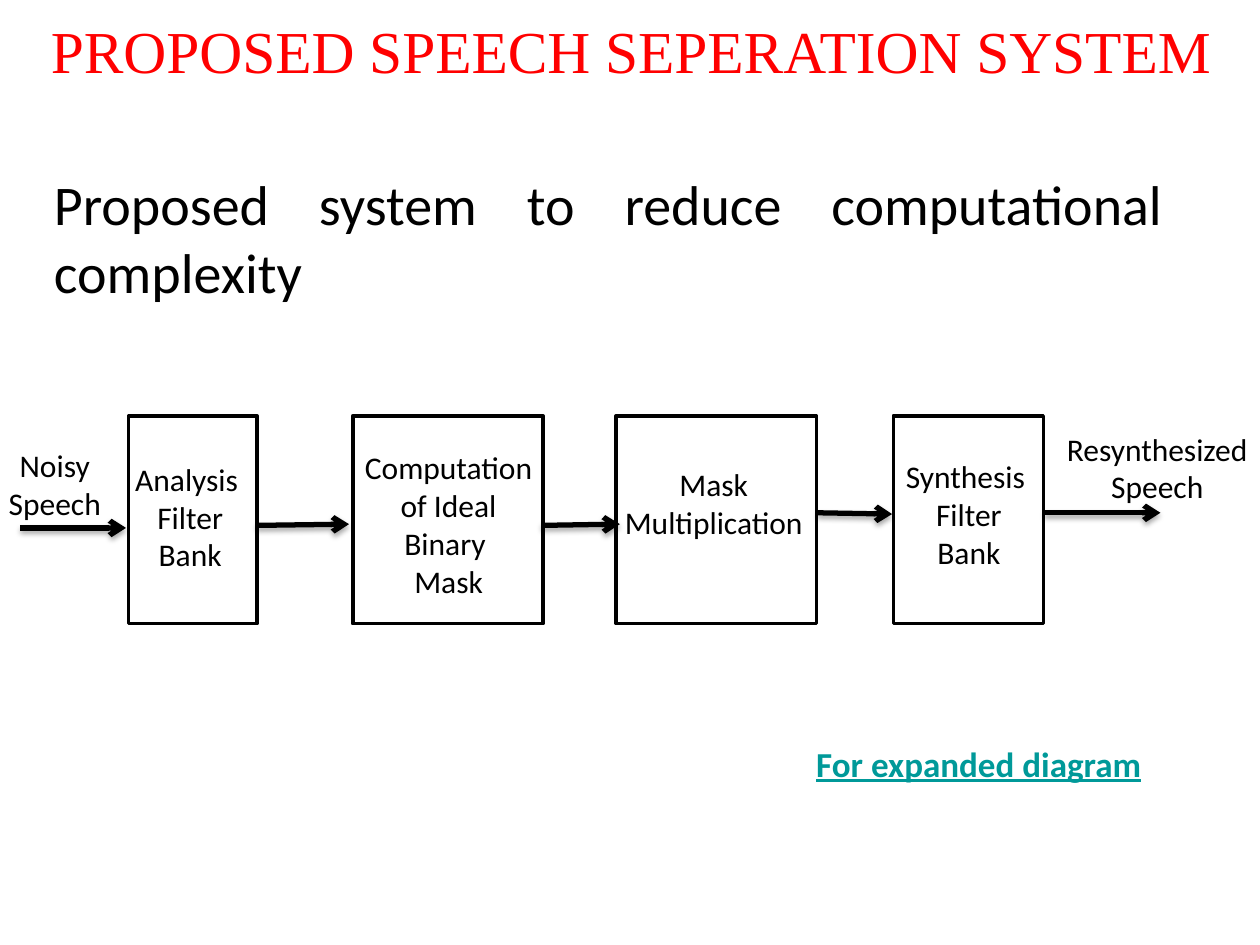
from pptx import Presentation
from pptx.dml.color import RGBColor
from pptx.enum.shapes import MSO_CONNECTOR as Conn, MSO_SHAPE as Shape
from pptx.enum.text import PP_ALIGN as Align
from pptx.oxml import parse_xml
from pptx.oxml.ns import nsdecls
from pptx.util import Inches, Pt

BLACK = "000000"
TOP, HIGH = 3.3, 1.65

# Block: left, width
BLOCKS = [(1.02, 1.02), (2.8, 1.51), (4.89, 1.59), (7.09, 1.19)]

# Label: left, top, width, height, lines
LABELS = [
    (0.76, 3.6, 1.5, 1.01, ["Analysis ", "Filter", "Bank"]),
    (2.77, 3.51, 1.58, 1.31, ["Computation of Ideal Binary ", "Mask"]),
    (4.83, 3.64, 1.67, 0.71, ["Mask Multiplication"]),
    (6.94, 3.58, 1.5, 1.01, ["Synthesis ", "Filter", "Bank"]),
    (-0.15, 3.49, 1.17, 0.71, ["Noisy Speech"]),
    (8.35, 3.36, 1.67, 0.71, ["Resynthesized Speech"]),
]

# Arrow: start x, y, end x, y
ARROWS = [
    (0.16, 4.19, 1, 4.19),
    (2.04, 4.17, 2.77, 4.16),
    (4.3, 4.17, 4.92, 4.16),
    (6.49, 4.07, 7.08, 4.08),
    (8.29, 4.07, 9.21, 4.07),
]


def color(code):
    return RGBColor.from_string(code)


def add_text(slide, box, lines, size, code=BLACK, name="Calibri",
             align=Align.CENTER, wrap=True):
    frame = slide.shapes.add_textbox(*map(Inches, box)).text_frame
    frame.word_wrap = wrap
    frame.text = "\n".join(lines)
    for para in frame.paragraphs:
        para.alignment = align
        font = para.font
        font.name, font.size = name, Pt(size)
        font.color.rgb = color(code)
    return frame


def add_block(slide, left, width):
    block = slide.shapes.add_shape(
        Shape.RECTANGLE, *map(Inches, (left, TOP, width, HIGH)))
    block.shadow.inherit = False
    block.fill.solid()
    block.fill.fore_color.rgb = color("FFFFFF")
    block.line.color.rgb = color(BLACK)
    block.line.width = Pt(2)


def add_arrow(slide, *ends):
    arrow = slide.shapes.add_connector(Conn.STRAIGHT, *map(Inches, ends))
    arrow.line.color.rgb = color(BLACK)
    arrow.line.width = Pt(3)
    # Open head and soft shadow below
    arrow.line._get_or_add_ln().append(
        parse_xml(f'<a:tailEnd {nsdecls("a")} type="arrow"/>'))
    arrow._element.spPr.append(parse_xml(
        f'<a:effectLst {nsdecls("a")}>'
        f'<a:outerShdw blurRad="{Pt(3.1)}" dist="{Pt(1.8)}" dir="5400000" '
        f'rotWithShape="0"><a:srgbClr val="{BLACK}"><a:alpha val="35000"/>'
        '</a:srgbClr></a:outerShdw></a:effectLst>'))


def main():
    deck = Presentation()
    deck.slide_width, deck.slide_height = Inches(10), Inches(7.5)
    slide = deck.slides.add_slide(deck.slide_layouts[6])

    # Heading and statement
    add_text(slide, (0.26, 0.06, 9.5, 0.67),
             ["PROPOSED SPEECH SEPERATION SYSTEM"], 34, "FF0000",
             "Times New Roman", wrap=False)
    add_text(slide, (0.33, 1.3, 9, 1.2),
             ["Proposed system to reduce computational complexity"], 32,
             align=Align.JUSTIFY)

    # Flow diagram
    for block in BLOCKS:
        add_block(slide, *block)
    for arrow in ARROWS:
        add_arrow(slide, *arrow)
    for *box, lines in LABELS:
        add_text(slide, box, lines, 18)

    # Pointer to the larger diagram
    note = add_text(slide, (6.38, 5.84, 3.07, 0.44),
                    ["For expanded diagram"], 20, "009999", align=Align.LEFT)
    font = note.paragraphs[0].font
    font.bold = font.underline = True

    deck.save("out.pptx")


if __name__ == "__main__":
    main()
